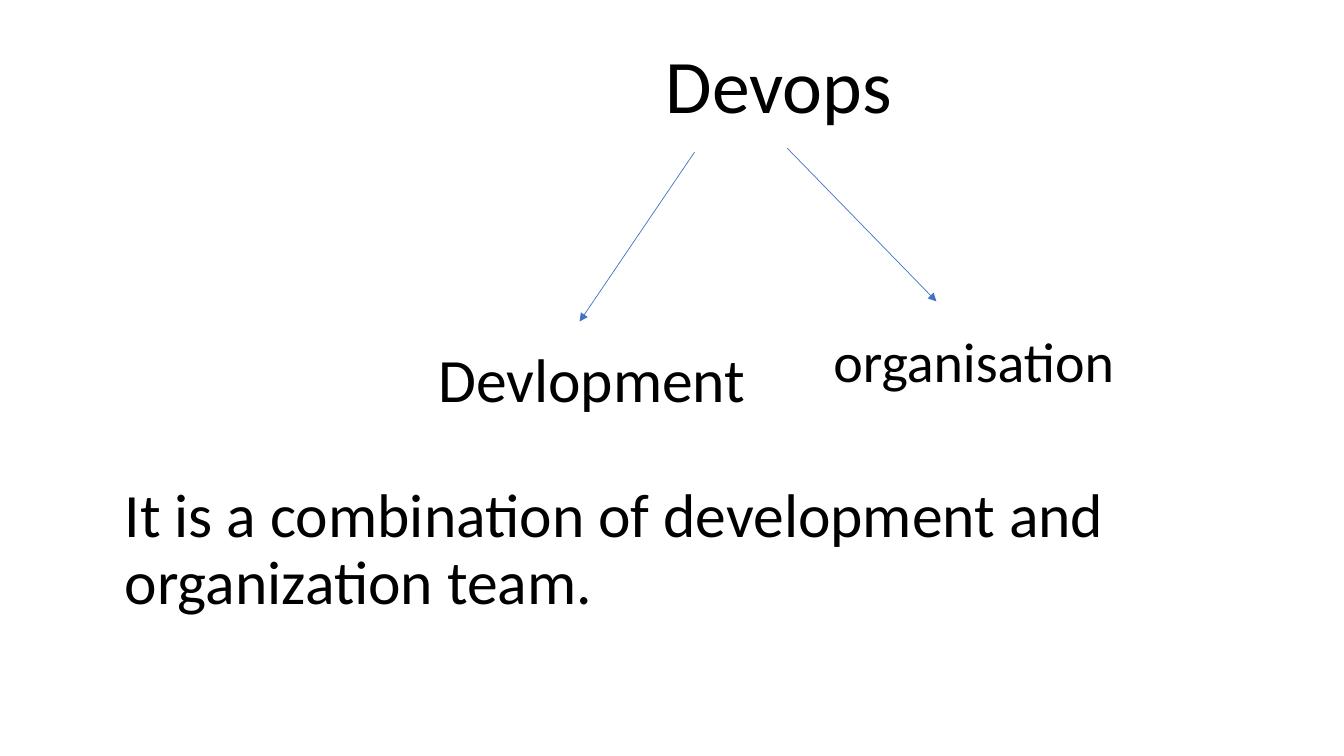
from pptx import Presentation
from pptx.dml.color import RGBColor
from pptx.enum.shapes import MSO_CONNECTOR
from pptx.enum.text import MSO_ANCHOR, MSO_AUTO_SIZE, PP_ALIGN
from pptx.oxml.ns import qn
from pptx.oxml.xmlchemy import OxmlElement
from pptx.util import Pt

BLACK = RGBColor(0x00, 0x00, 0x00)
BLUE = RGBColor(0x44, 0x72, 0xC4)


def write(frame, text, *, size, font, color=BLACK, anchor=MSO_ANCHOR.TOP,
          line_spacing=1.0, space_before=0, indent=0):
    """Put one left-aligned, unbulleted paragraph into a text frame."""
    frame.word_wrap = True
    frame.auto_size = MSO_AUTO_SIZE.NONE
    frame.vertical_anchor = anchor
    paragraph = frame.paragraphs[0]
    paragraph.alignment = PP_ALIGN.LEFT
    paragraph.line_spacing = line_spacing
    paragraph.space_before = Pt(space_before)
    run = paragraph.add_run()
    run.text = text
    run.font.name = font
    run.font.size = Pt(size)
    run.font.color.rgb = color
    properties = paragraph._p.get_or_add_pPr()
    properties.set("marL", str(Pt(indent)))
    properties.set("indent", "0")
    properties.append(OxmlElement("a:buNone"))


class DiagramSlide:
    """Holds the style and the current slide."""

    font = "Calibri"
    arrow_color = BLUE
    arrow_width = Pt(0.5)

    def __init__(self, presentation):
        layout = presentation.slide_layouts[1]
        self.slide = presentation.slides.add_slide(layout)

    def placeholder(self, index, text, box, **style):
        holder = self.slide.placeholders[index]
        holder.left, holder.top, holder.width, holder.height = map(Pt, box)
        write(holder.text_frame, text, font=self.font, line_spacing=0.9, **style)

    def label(self, text, box, **style):
        label = self.slide.shapes.add_textbox(*map(Pt, box))
        write(label.text_frame, text, font=self.font, **style)

    def arrow(self, start, end):
        arrow = self.slide.shapes.add_connector(
            MSO_CONNECTOR.STRAIGHT, *map(Pt, start + end))
        arrow.line.color.rgb = self.arrow_color
        arrow.line.width = self.arrow_width
        properties = arrow._element.spPr
        head = OxmlElement("a:tailEnd")
        head.set("type", "triangle")
        properties.find(qn("a:ln")).append(head)
        properties.append(OxmlElement("a:effectLst"))


def main():
    presentation = Presentation()
    presentation.slide_width = Pt(960)
    presentation.slide_height = Pt(540)
    devops = DiagramSlide(presentation)

    # Definition and root of the tree
    devops.placeholder(0, "It is a combination of development and organization team.",
                       (82, 341.3, 828, 104.4), size=44, anchor=MSO_ANCHOR.MIDDLE)
    devops.placeholder(1, "Devops", (112.3, 31, 847.7, 455),
                       size=54, space_before=10, indent=356)

    # Branches
    devops.label("Devlopment", (306, 239.8, 239.8, 60.5), size=44)
    devops.label("organisation", (588.2, 229.7, 257, 55.4), size=40)

    # Arrows from the root to its branches
    devops.arrow((562.3, 105.8), (668.9, 215.3))
    devops.arrow((496.1, 108.7), (414, 229.7))

    presentation.save("out.pptx")


if __name__ == "__main__":
    main()
